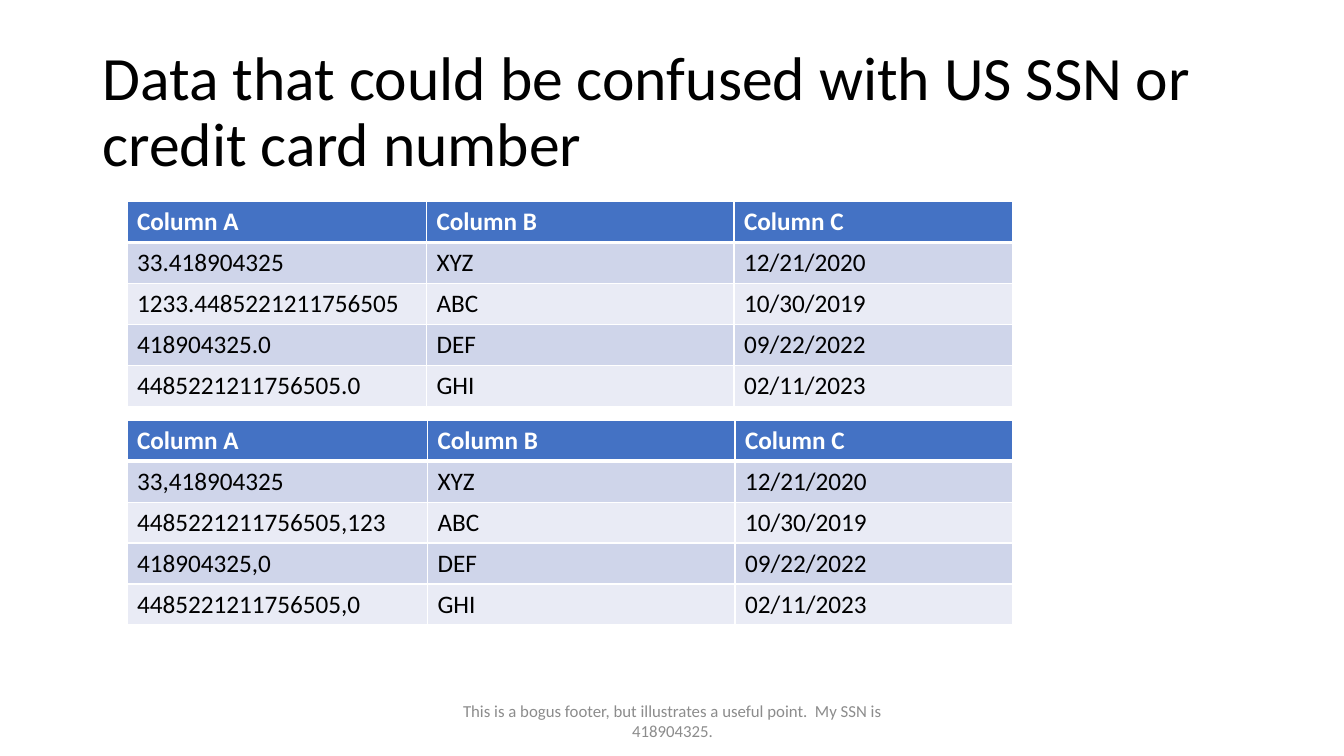
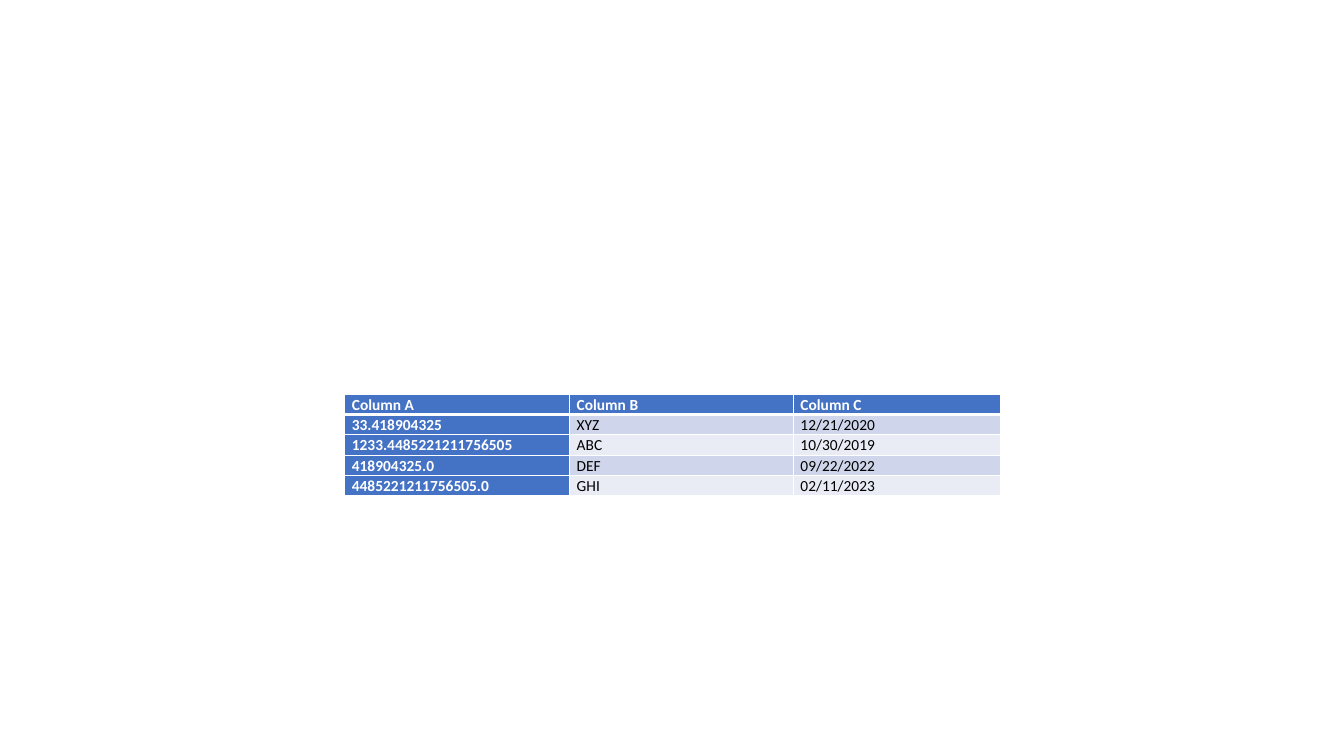
from lxml import etree
from pptx import Presentation
from pptx.dml.color import RGBColor
from pptx.enum.text import MSO_ANCHOR, PP_ALIGN
from pptx.oxml.ns import qn
from pptx.util import Pt

PX = 9144
FONT = "Calibri"
BLACK = RGBColor(0x00, 0x00, 0x00)
WHITE = RGBColor(0xFF, 0xFF, 0xFF)
GREY = RGBColor(0x8C, 0x8C, 0x8C)
BLUE = RGBColor(0x44, 0x72, 0xC4)
BANDS = (RGBColor(0xCF, 0xD5, 0xEA), RGBColor(0xE9, 0xEB, 0xF5))
LEFT = PP_ALIGN.LEFT
CENTER = PP_ALIGN.CENTER
MIDDLE = MSO_ANCHOR.MIDDLE

HEADER = ("Column A", "Column B", "Column C")
CODES = ("XYZ", "ABC", "DEF", "GHI")
DATES = ("12/21/2020", "10/30/2019", "09/22/2022", "02/11/2023")
POINT_NUMBERS = ("33.418904325", "1233.4485221211756505", "418904325.0", "4485221211756505.0")
COMMA_NUMBERS = ("33,418904325", "4485221211756505,123", "418904325,0", "4485221211756505,0")


def px(*lengths):
    return [round(length * PX) for length in lengths]


def write(frame, text, size, color=BLACK, bold=False, align=LEFT, spacing=None):
    para = frame.paragraphs[0]
    para.alignment = align
    if spacing:
        para.line_spacing = spacing
    span = para.add_run()
    span.text = text
    span.font.name = FONT
    span.font.size = Pt(size)
    span.font.bold = bold
    span.font.color.rgb = color


def add_text(page, box, text, **style):
    frame = page.shapes.add_textbox(*px(*box)).text_frame
    frame.word_wrap = True
    frame.vertical_anchor = MIDDLE
    write(frame, text, **style)


def set_borders(cell, **widths):
    properties = cell._tc.get_or_add_tcPr()
    for side in "LRTB":
        line = etree.SubElement(properties, qn(f"a:ln{side}"), w=str(Pt(widths.get(side, 1))))
        fill = etree.SubElement(line, qn("a:solidFill"))
        etree.SubElement(fill, qn("a:srgbClr"), val=str(WHITE))


def add_data_table(page, box, widths, numbers, size=18, spacing=None, margins=None,
                   blue_first_column=False):
    records = [HEADER, *zip(numbers, CODES, DATES)]
    table = page.shapes.add_table(len(records), len(widths), *px(*box)).table
    for column, width in zip(table.columns, widths):
        column.width = width * PX
    for row_index, record in enumerate(records):
        table.rows[row_index].height = round(box[3] * PX / len(records))
        for column_index, text in enumerate(record):
            cell = table.cell(row_index, column_index)
            is_header = row_index == 0
            strong = is_header or (blue_first_column and column_index == 0)
            set_borders(cell, T=3 if row_index == 1 else 1, B=3 if is_header else 1)
            cell.fill.solid()
            cell.fill.fore_color.rgb = BLUE if strong else BANDS[(row_index - 1) % 2]
            if margins:
                side, edge = px(*margins)
                cell.margin_left = cell.margin_right = side
                cell.margin_top = cell.margin_bottom = edge
            write(cell.text_frame, text, size, color=WHITE if strong else BLACK,
                  bold=strong, spacing=spacing)


def add_title(page, text):
    add_text(page, (92, 40, 1150, 145), text, size=44, spacing=0.9)


def add_footer(page, text):
    add_text(page, (442, 695, 450, 40), text, size=12, color=GREY, align=CENTER)


def build_confusion_page(page):
    add_title(page, "Data that could be confused with US SSN or credit card number")
    add_data_table(page, (126, 200, 878, 203), (297, 305, 276), POINT_NUMBERS)
    add_data_table(page, (126, 417, 878, 203), (298, 305, 275), COMMA_NUMBERS)
    add_footer(page, "This is a bogus footer, but illustrates a useful point.  My SSN is 418904325.")


def build_small_table_page(page):
    add_data_table(page, (342, 391, 650, 101), (223, 222, 205), POINT_NUMBERS, size=11,
                   spacing=1.07, margins=(7, 0), blue_first_column=True)


def main():
    deck = Presentation()
    deck.slide_width, deck.slide_height = px(1333, 750)
    blank = deck.slide_layouts[6]
    for build in (build_confusion_page, build_small_table_page):
        build(deck.slides.add_slide(blank))
    deck.save("out.pptx")


if __name__ == "__main__":
    main()
